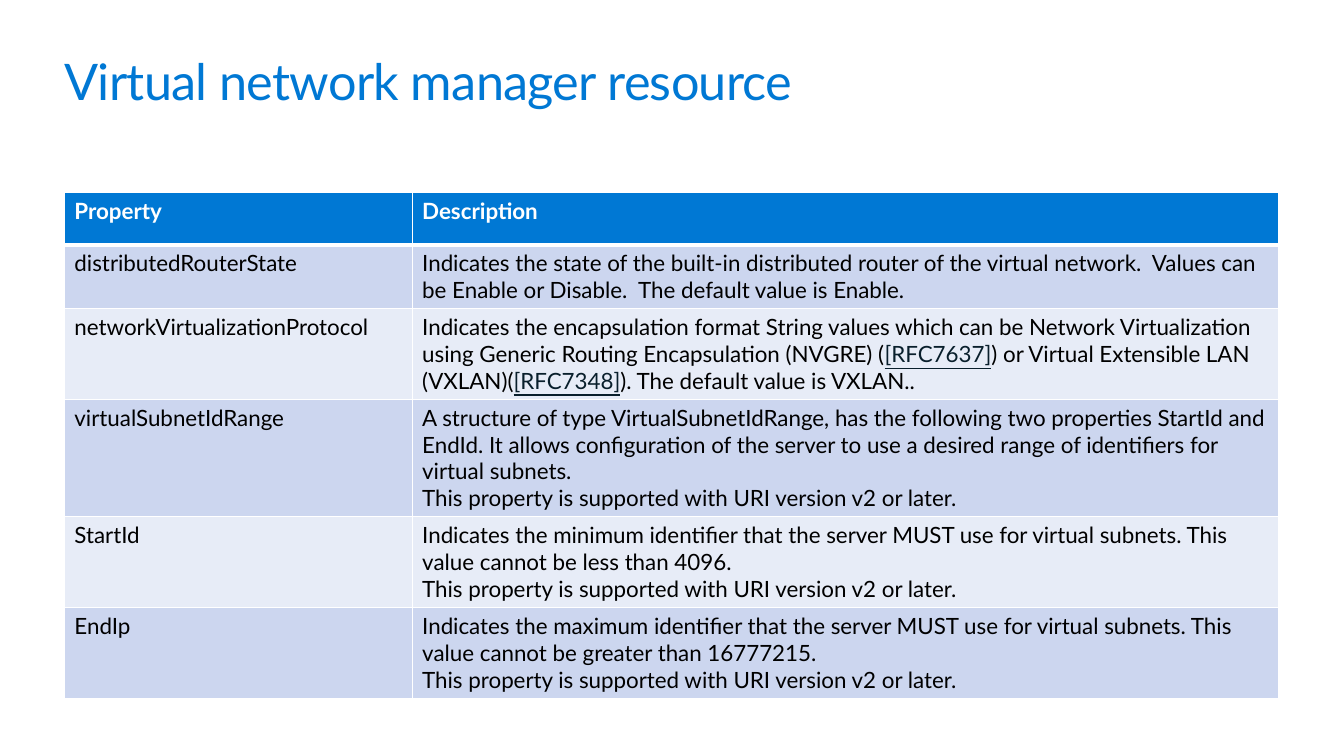
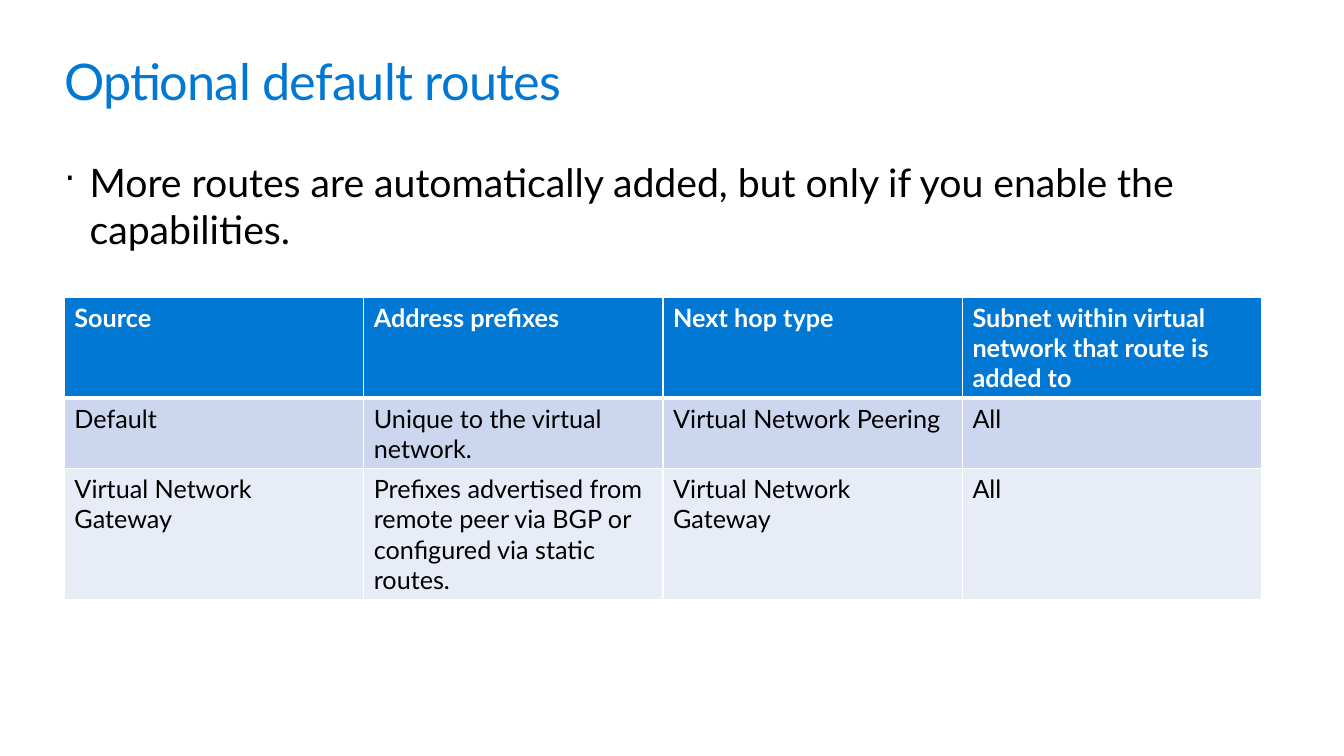
from lxml import etree
from pptx import Presentation
from pptx.dml.color import RGBColor
from pptx.enum.text import MSO_ANCHOR, PP_ALIGN
from pptx.oxml.ns import qn
from pptx.util import Pt

TOP = MSO_ANCHOR.TOP
ALIGN_LEFT = PP_ALIGN.LEFT
TITLE_ONLY = 5

FONT = "Lato"
BLUE = "0078D4"
BLACK = "000000"
WHITE = "FFFFFF"
REFERENCE = "091F2C"
BANDS = ("CCD6EF", "E7ECF7")

LEFT = 46
CONTENT_WIDTH = 867.6
LINE_SPACING = 1.2
CELL_PADDING = 7.2

V2_NOTE = "This property is supported with URI version v2 or later."

# Cell text: a line feed starts a paragraph, bars enclose a reference.
PROPERTY_ROWS = [
    ("Property", "Description"),
    ("distributedRouterState",
     "Indicates the state of the built-in distributed router of the virtual network.  "
     "Values can be Enable or Disable.  The default value is Enable."),
    ("networkVirtualizationProtocol",
     "Indicates the encapsulation format String values which can be Network "
     "Virtualization using Generic Routing Encapsulation (NVGRE) (|[RFC7637]|) or "
     "Virtual Extensible LAN (VXLAN)(|[RFC7348]|). The default value is VXLAN.."),
    ("virtualSubnetIdRange",
     "A structure of type VirtualSubnetIdRange, has the following two "
     "properties StartId and EndId. It allows configuration of the server to use "
     "a desired range of identifiers for virtual subnets.\n" + V2_NOTE),
    ("StartId",
     "Indicates the minimum identifier that the server MUST use for virtual subnets. "
     "This value cannot be less than 4096.\n" + V2_NOTE),
    ("EndIp",
     "Indicates the maximum identifier that the server MUST use for virtual subnets. "
     "This value cannot be greater than 16777215.\n" + V2_NOTE),
]

ROUTE_ROWS = [
    ("Source", "Address prefixes", "Next hop type",
     "Subnet within virtual network that route is added to"),
    ("Default", "Unique to the virtual network.", "Virtual Network Peering", "All"),
    ("Virtual Network Gateway",
     "Prefixes advertised from remote peer via BGP or configured via static routes.",
     "Virtual Network Gateway", "All"),
]


def rgb(value):
    return RGBColor.from_string(value)


def style_font(para, size, color, bold=False):
    para.font.name = FONT
    para.font.size = Pt(size)
    para.font.bold = bold
    para.font.color.rgb = rgb(color)


def clear_frame(frame):
    """Make a text frame wrap from its top left corner, without margins."""
    frame.margin_left = frame.margin_right = Pt(0)
    frame.margin_top = frame.margin_bottom = Pt(0)
    frame.vertical_anchor = TOP
    frame.word_wrap = True


def add_titled_slide(deck, title, width=CONTENT_WIDTH):
    page = deck.slides.add_slide(deck.slide_layouts[TITLE_ONLY])
    box = page.shapes.title
    box.left, box.top, box.width, box.height = Pt(LEFT), Pt(36), Pt(width), Pt(44)
    clear_frame(box.text_frame)
    para = box.text_frame.paragraphs[0]
    para.alignment = ALIGN_LEFT
    span = para.add_run()
    span.text = title
    span._r.get_or_add_rPr().set("spc", "-50")
    style_font(para, 36, BLUE)
    return page


def add_bullet_text(page, text, left, top, width, height):
    box = page.shapes.add_textbox(Pt(left), Pt(top), Pt(width), Pt(height))
    clear_frame(box.text_frame)
    para = box.text_frame.paragraphs[0]
    para.text = text
    properties = para._p.get_or_add_pPr()
    properties.set("marL", str(Pt(18)))
    properties.set("indent", str(Pt(-18)))
    etree.SubElement(properties, qn("a:buSzPct"), val="90000")
    etree.SubElement(properties, qn("a:buChar"), char="·")
    style_font(para, 28, BLACK)


def set_borders(cell, top, bottom):
    """Draw white cell borders, one point wide at the sides."""
    properties = cell._tc.get_or_add_tcPr()
    widths = {"a:lnL": 1, "a:lnR": 1, "a:lnT": top, "a:lnB": bottom}
    for index, (side, width) in enumerate(widths.items()):
        line = etree.Element(qn(side), w=str(Pt(width)))
        fill = etree.SubElement(line, qn("a:solidFill"))
        etree.SubElement(fill, qn("a:srgbClr"), val=WHITE)
        properties.insert(index, line)


def fill_cell(cell, text, size, row):
    is_header = row == 0
    cell.fill.solid()
    cell.fill.fore_color.rgb = rgb(BLUE if is_header else BANDS[(row - 1) % 2])
    set_borders(cell, top=3 if row == 1 else 1, bottom=3 if is_header else 1)
    frame = cell.text_frame
    for index, line in enumerate(text.split("\n")):
        para = frame.add_paragraph() if index else frame.paragraphs[0]
        for position, part in enumerate(line.split("|")):
            span = para.add_run()
            span.text = part
            if position % 2:
                span.font.underline = True
                span.font.color.rgb = rgb(REFERENCE)
        style_font(para, size, WHITE if is_header else BLACK, bold=is_header)


def add_banded_table(page, rows, top, widths, line_counts, size):
    """Add a table whose row heights follow from their numbers of text lines."""
    heights = [count * size * LINE_SPACING + CELL_PADDING for count in line_counts]
    frame = page.shapes.add_table(len(rows), len(widths), Pt(LEFT), Pt(top),
                                  Pt(sum(widths)), Pt(sum(heights)))
    table = frame.table
    table.horz_banding = False
    for column, width in zip(table.columns, widths):
        column.width = Pt(width)
    for row, (texts, height) in enumerate(zip(rows, heights)):
        table.rows[row].height = Pt(height)
        for column, text in enumerate(texts):
            fill_cell(table.cell(row, column), text, size, row)


def build_property_slide(deck):
    page = add_titled_slide(deck, "Virtual network manager resource")
    add_banded_table(page, PROPERTY_ROWS, top=137.5, widths=[248.4, 619.2],
                     line_counts=[1.57, 2, 3, 4, 3, 3], size=16)


def build_route_slide(deck):
    page = add_titled_slide(deck, "Optional default routes", width=690)
    add_bullet_text(page, "More routes are automatically added, but only if you "
                    "enable the capabilities.", LEFT, 113, CONTENT_WIDTH, 68)
    add_banded_table(page, ROUTE_ROWS, top=212.4, widths=[213.84] * 4,
                     line_counts=[3, 2, 4], size=18)


def main():
    deck = Presentation()
    deck.slide_width, deck.slide_height = Pt(960), Pt(540)
    build_property_slide(deck)
    build_route_slide(deck)
    deck.save("out.pptx")


if __name__ == "__main__":
    main()
